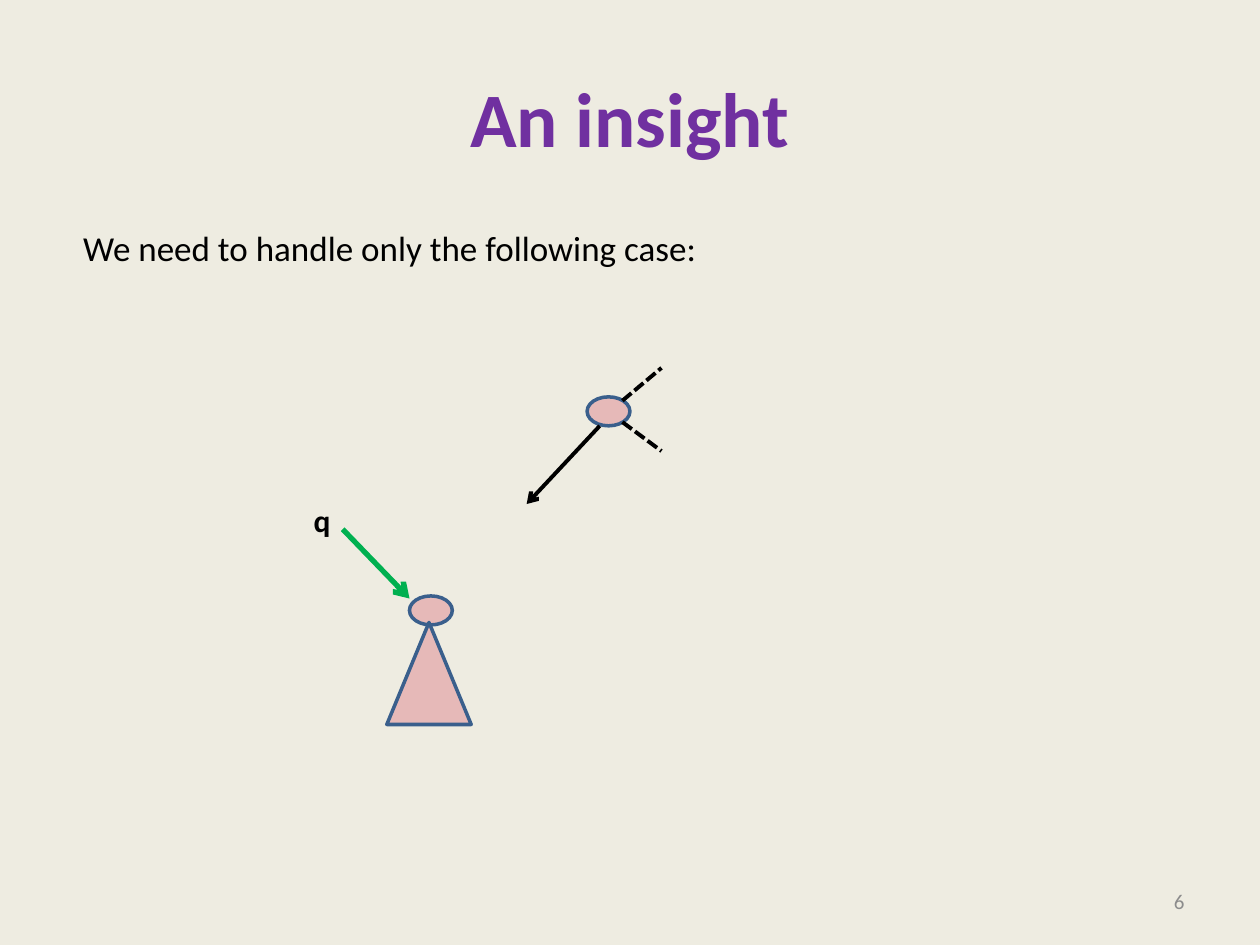
import pptx
import pptx.dml.color
import pptx.enum.dml
import pptx.enum.shapes
import pptx.enum.text
import pptx.oxml.ns
import pptx.util
from dataclasses import dataclass
from lxml import etree

Inches = pptx.util.Inches
Pt = pptx.util.Pt
Align = pptx.enum.text.PP_ALIGN
Anchor = pptx.enum.text.MSO_ANCHOR
Shape = pptx.enum.shapes.MSO_SHAPE
qn = pptx.oxml.ns.qn


@dataclass(frozen=True)
class Theme:
    font: str = "Calibri"
    back: str = "EEECE1"
    title: str = "7030A0"
    ink: str = "000000"
    query: str = "00B050"
    node: str = "E6B9B8"
    edge: str = "3A5F8C"
    faint: str = "8C8C8C"
    title_size: int = 44
    body_size: int = 20
    label_size: int = 18
    page_size: int = 12


def color(code):
    return pptx.dml.color.RGBColor.from_string(code)


def write(frame, text, size, code, font, bold=False, align=Align.LEFT,
          anchor=Anchor.TOP, wrap=True):
    frame.word_wrap = wrap
    frame.vertical_anchor = anchor
    para = frame.paragraphs[0]
    para.alignment = align
    para.space_before = Pt(0)
    run = para.add_run()
    run.text = text
    run.font.name = font
    run.font.size = Pt(size)
    run.font.bold = bold
    run.font.color.rgb = color(code)


class Board:
    """Holds the theme, the slide and the shape tree being drawn on."""

    def __init__(self, deck, theme):
        self.theme = theme
        self.slide = deck.slides.add_slide(deck.slide_layouts[1])
        self.shapes = self.slide.shapes
        fill = self.slide.background.fill
        fill.solid()
        fill.fore_color.rgb = color(theme.back)

    def place(self, item, box):
        item.left, item.top, item.width, item.height = map(Inches, box)

    def title(self, text, box):
        item = self.slide.shapes.title
        self.place(item, box)
        write(item.text_frame, text, self.theme.title_size, self.theme.title,
              self.theme.font, bold=True, align=Align.CENTER,
              anchor=Anchor.MIDDLE)

    def body(self, text, box):
        item = self.slide.placeholders[1]
        self.place(item, box)
        frame = item.text_frame
        frame.margin_left = Inches(0.16)
        props = frame.paragraphs[0]._p.get_or_add_pPr()
        props.set("marL", "0")
        props.set("indent", "0")
        etree.SubElement(props, qn("a:buNone"))
        write(frame, text, self.theme.body_size, self.theme.ink,
              self.theme.font)

    def label(self, text, box, size, code, **form):
        item = self.shapes.add_textbox(*map(Inches, box))
        write(item.text_frame, text, size, code, self.theme.font, **form)

    def solid(self, kind, box):
        item = self.shapes.add_shape(kind, *map(Inches, box))
        item.shadow.inherit = False
        item.fill.solid()
        item.fill.fore_color.rgb = color(self.theme.node)
        item.line.color.rgb = color(self.theme.edge)
        item.line.width = Pt(2)

    def node(self, left, top):
        self.solid(Shape.OVAL, (left, top, 0.34, 0.23))

    def line(self, start, end, code, width=2.25, arrow=False, dash=False):
        item = self.shapes.add_connector(
            pptx.enum.shapes.MSO_CONNECTOR.STRAIGHT,
            *map(Inches, start + end))
        item.line.color.rgb = color(code)
        item.line.width = Pt(width)
        if dash:
            item.line.dash_style = pptx.enum.dml.MSO_LINE.SQUARE_DOT
        if arrow:
            etree.SubElement(item.line._ln, qn("a:tailEnd"), type="arrow")
        etree.SubElement(item._element.spPr, qn("a:effectLst"))

    def group(self):
        """Send the shapes that follow into a new group."""
        self.shapes = self.slide.shapes.add_group_shape().shapes


def main():
    deck = pptx.Presentation()
    deck.slide_width, deck.slide_height = Inches(10), Inches(7.5)
    theme = Theme()
    board = Board(deck, theme)

    board.title("An insight", (0.5, 0.3, 9, 1.25))
    board.body("We need to handle only the following case:",
               (0.5, 1.75, 9, 4.95))
    board.label("6", (7.17, 6.95, 2.33, 0.4), theme.page_size, theme.faint,
                align=Align.RIGHT, anchor=Anchor.MIDDLE)

    # Parent node with its child pointer and two open links
    board.node(4.66, 3.15)
    board.line((4.76, 3.38), (4.18, 4), theme.ink, arrow=True)
    for start, end in ((3.18, 2.92), (3.35, 3.58)):
        board.line((4.94, start), (5.25, end), theme.ink, dash=True)

    # Subtree that q points to
    board.group()
    board.line((2.72, 4.2), (3.25, 4.75), theme.query, width=3, arrow=True)
    board.label("q", (2.39, 3.93, 0.34, 0.4), theme.label_size, theme.ink,
                bold=True, wrap=False)
    board.node(3.25, 4.73)
    board.solid(Shape.ISOSCELES_TRIANGLE, (3.07, 4.94, 0.67, 0.81))

    deck.save("out.pptx")


if __name__ == "__main__":
    main()
